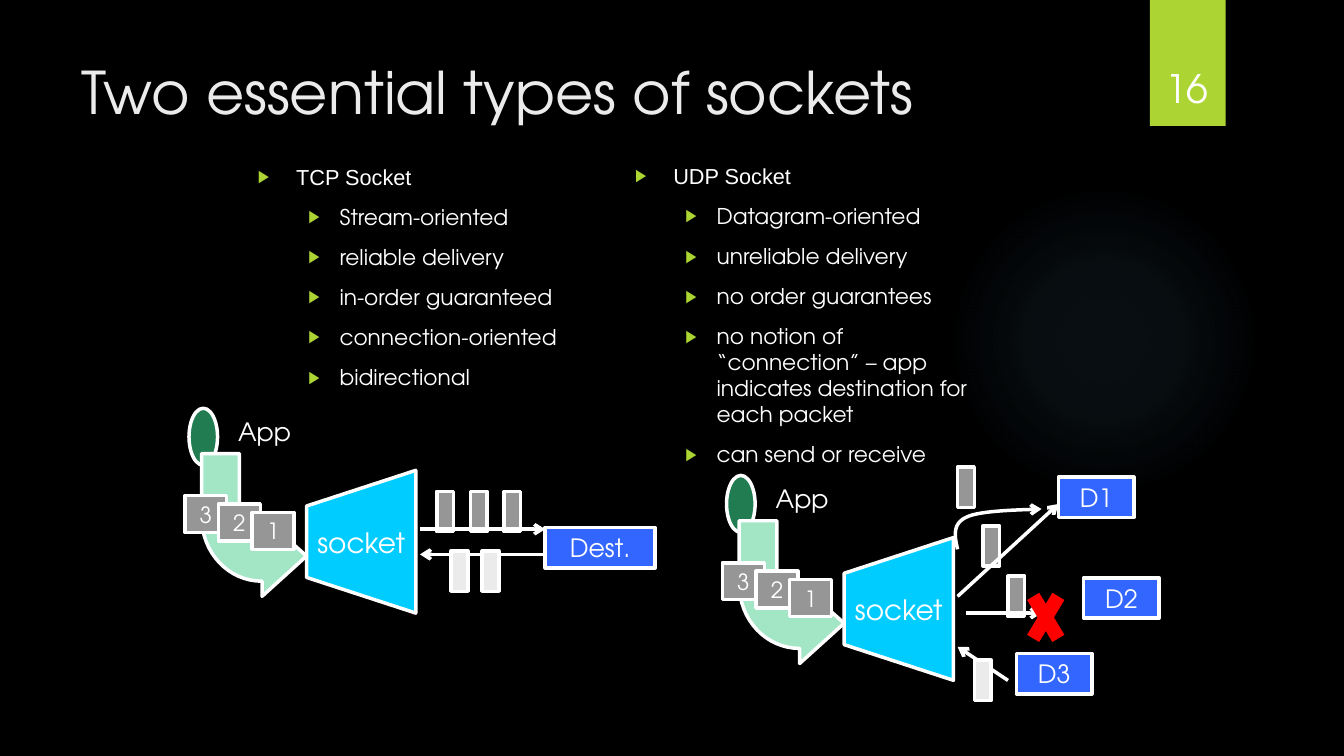
from lxml import etree
from pptx import Presentation
from pptx import util as u
from pptx.dml.color import RGBColor
from pptx.enum import shapes, text
from pptx.oxml import parse_xml
from pptx.oxml.ns import nsdecls, qn

CELL = u.Inches(1) / 12
FONT = "TeX Gyre Adventor"
WHITE, GREEN, GREY, PALE, BLUE = "FFFFFF", "ACD433", "969696", "EBEBEB", "3366FF"
UDP_SHIFT = (64, 8)
TCP_POINTS = ["TCP Socket", "Stream-oriented", "reliable delivery", "in-order guaranteed",
              "connection-oriented", "bidirectional"]
UDP_POINTS = ["UDP Socket", "Datagram-oriented", "unreliable delivery", "no order guarantees",
              "no notion of “connection” – app indicates destination for each packet",
              "can send or receive"]
SOCKET = [(49.5, 56), (36.5, 60.25), (36.5, 68.75), (49.5, 73)]


def grid(*values):
    """Convert columns and rows of the 160 by 90 grid to lengths."""
    return [u.Emu(round(v * CELL)) for v in values]


def rgb(value):
    """Return the colour for a hex string."""
    return RGBColor.from_string(value)


def bezier(a, b, c, d, steps=16):
    """Return points along a cubic curve from a to d."""
    weights = [((1 - t) ** 3, 3 * t * (1 - t) ** 2, 3 * t * t * (1 - t), t ** 3)
               for t in (i / steps for i in range(steps + 1))]
    return [tuple(sum(w * q[k] for w, q in zip(ws, (a, b, c, d))) for k in (0, 1))
            for ws in weights]


def format_runs(p, size, color=WHITE, font=FONT):
    """Format every run of a paragraph."""
    for r in p.runs:
        r.font.size, r.font.name = u.Pt(size), font
        r.font.color.rgb = rgb(color)


def write(sp, label, size, anchor=text.MSO_ANCHOR.MIDDLE):
    """Write centred text in a shape."""
    tf = sp.text_frame
    tf.text, tf.word_wrap, tf.vertical_anchor = label, True, anchor
    tf.paragraphs[0].alignment = text.PP_ALIGN.CENTER
    format_runs(tf.paragraphs[0], size)


def add_label(s, at, label, size, anchor):
    """Add a centred text box."""
    write(s.shapes.add_textbox(*grid(*at)), label, size, anchor)


def outline(sp, color=WHITE, width=2.5):
    """Set the line of a shape and drop its shadow."""
    sp.line.color.rgb, sp.line.width = rgb(color), u.Pt(width)


def add_block(s, at, fill, label="", size=18, kind=shapes.MSO_SHAPE.RECTANGLE):
    """Add a filled, outlined shape with an optional label."""
    sp = s.shapes.add_shape(kind, *grid(*at))
    sp.shadow.inherit = False
    sp.fill.solid()
    sp.fill.fore_color.rgb = rgb(fill)
    outline(sp)
    if label:
        write(sp, label, size)
    return sp


def add_path(s, points, fill=None):
    """Add a closed filled outline, or an open line when no fill is given."""
    start, *rest = [tuple(grid(*q)) for q in points]
    builder = s.shapes.build_freeform(*start)
    builder.add_line_segments(rest, close=bool(fill))
    sp = builder.convert_to_shape()
    sp.shadow.inherit = False
    if fill:
        sp.fill.solid()
        sp.fill.fore_color.rgb = rgb(fill)
    else:
        sp.fill.background()
    outline(sp)
    return sp


def add_head(sp):
    """Put an open arrowhead at the end of a line."""
    etree.SubElement(sp.line._get_or_add_ln(), qn("a:tailEnd")).set("type", "arrow")


def add_line(s, ends, color=WHITE, width=2.5, head=True):
    """Add a straight line, with an arrowhead unless told otherwise."""
    sp = s.shapes.add_connector(shapes.MSO_CONNECTOR.STRAIGHT, *grid(*ends))
    outline(sp, color, width)
    if head:
        add_head(sp)
    etree.SubElement(sp._element.spPr, qn("a:effectLst"))


def add_packets(s, places, fill):
    """Add one upright packet at each place."""
    for x, y in places:
        add_block(s, (x, y, 2, 4.8), fill)


def add_glow(s):
    """Add the faint round glow at the right."""
    sp = s.shapes.add_shape(shapes.MSO_SHAPE.OVAL, *grid(112.9, 22, 37, 37))
    sp.shadow.inherit = False
    sp.line.fill.background()
    stops = "".join(f'<a:gs pos="{pos}000"><a:srgbClr val="7AC4F0"><a:alpha val="{alpha}000"/>'
                    "</a:srgbClr></a:gs>" for pos, alpha in ((0, 7), (36, 6), (69, 0), (100, 0)))
    sp._element.spPr.find(qn("a:prstGeom")).addnext(parse_xml(
        f'<a:gradFill {nsdecls("a")}><a:gsLst>{stops}</a:gsLst><a:path path="circle">'
        '<a:fillToRect l="50000" t="50000" r="50000" b="50000"/></a:path></a:gradFill>'))


def add_number_tab(s):
    """Add the green tab with the slide number."""
    tab = add_block(s, (136.9, 0, 9, 15), GREEN)
    tab.line.fill.background()
    add_label(s, (135.8, 3.8, 11, 10.1), "16", 28, text.MSO_ANCHOR.BOTTOM)


def place(sp, at):
    """Move a placeholder and fix its text frame."""
    sp.left, sp.top, sp.width, sp.height = grid(*at)
    tf = sp.text_frame
    tf.word_wrap, tf.auto_size = True, text.MSO_AUTO_SIZE.NONE
    tf.vertical_anchor = text.MSO_ANCHOR.TOP
    return tf


def fill_list(sp, at, points):
    """Fill a body placeholder with a heading and its bulleted points."""
    tf = place(sp, at)
    tf.text = "\n".join(points)
    for i, p in enumerate(tf.paragraphs):
        p.level, p.space_before = min(i, 1), u.Pt(10)
        format_runs(p, 15.5, font=FONT if i else "Arial")
        pPr = p._p.get_or_add_pPr()
        margin, hang = (0.81, 0.31) if i else (0.38, 0.38)
        pPr.set("marL", str(u.Inches(margin)))
        pPr.set("indent", str(-u.Inches(hang)))
        color = etree.SubElement(pPr, qn("a:buClr"))
        etree.SubElement(color, qn("a:srgbClr")).set("val", GREEN)
        etree.SubElement(pPr, qn("a:buSzPct")).set("val", "80000")
        etree.SubElement(pPr, qn("a:buFont")).set("typeface", "Arial")
        etree.SubElement(pPr, qn("a:buChar")).set("char", "▶")


def add_app(s, dx=0, dy=0):
    """Add an app that feeds three numbered packets into a socket."""
    def shift(points):
        return [(x + dx, y + dy) for x, y in points]

    feed = [(36.5, 66.2), (31.2, 71),
            *bezier((31.2, 69.2), (27.2, 69.2), (24, 65.8), (24, 61.5)), (24, 54), (28.5, 54),
            *bezier((28.5, 61.5), (28.5, 62.4), (29.6, 63.3), (31.2, 63.3)), (31.2, 61.5)]
    add_block(s, (22.5 + dx, 48.6 + dy, 3.4, 6.8), "217C51", kind=shapes.MSO_SHAPE.OVAL)
    add_label(s, (22 + dx, 49 + dy, 19, 4.8), "App", 18, text.MSO_ANCHOR.TOP)
    add_path(s, shift(SOCKET), "00CCFF")
    add_label(s, (32 + dx, 61.9 + dy, 22, 5.2), "socket", 20, text.MSO_ANCHOR.MIDDLE)
    add_path(s, shift(feed), "A3E6C6")
    for i in range(3):
        add_block(s, (22 + 4 * i + dx, 59 + i + dy, 5, 4.4), GREY, str(3 - i), 16)


def add_tcp(s):
    """Add the two-way stream between socket and destination."""
    add_app(s)
    add_packets(s, [(52 + 4 * i, 58.5) for i in range(3)], GREY)
    add_line(s, (50, 63, 64.9, 63))
    add_block(s, (64.9, 62.8, 13.1, 4.8), BLUE, "Dest.")
    add_line(s, (64.9, 66, 50, 66))
    add_packets(s, [(53.7, 65.6), (57.4, 65.6)], PALE)


def add_udp(s):
    """Add the separate datagrams to and from three destinations."""
    add_app(s, *UDP_SHIFT)
    add_packets(s, [(114, 55.6), (117, 62.6), (120, 68.6)], GREY)
    add_line(s, (114, 71, 126, 60))
    for label, x, y in (("D1", 126, 56.8), ("D3", 121, 77.8), ("D2", 129, 68.8)):
        add_block(s, (x, y, 9, 4.8), BLUE, label)
    add_head(add_path(s, bezier((114, 65.4), (113.7, 64), (113.3, 62.4), (115, 61.6))
                      + bezier((115, 61.6), (116.6, 60.7), (122.5, 60.7), (124, 60.6))[1:]))
    add_line(s, (115, 73, 124, 73))
    for x1, x2 in ((123, 126), (126, 123)):
        add_line(s, (x1, 71, x2, 76), "FF0000", 10, head=False)
    add_line(s, (120, 81, 114, 77))
    add_packets(s, [(116, 78.6)], PALE)


def main():
    """Build the slide and save it."""
    prs = Presentation()
    prs.slide_width, prs.slide_height = grid(160, 90)
    s = prs.slides.add_slide(prs.slide_layouts[3])
    s.background.fill.solid()
    s.background.fill.fore_color.rgb = rgb("000000")
    title, tcp, udp = s.placeholders
    add_glow(s)
    add_number_tab(s)
    tf = place(title, (8.5, 6, 123.5, 18.4))
    tf.text = "Two essential types of sockets"
    tf.paragraphs[0].alignment = text.PP_ALIGN.LEFT
    format_runs(tf.paragraphs[0], 42, PALE)
    fill_list(tcp, (29.5, 18.9, 43.3, 33.6), TCP_POINTS)
    fill_list(udp, (74.4, 18.8, 43.3, 33.6), UDP_POINTS)
    add_tcp(s)
    add_udp(s)
    prs.save("out.pptx")


if __name__ == "__main__":
    main()
